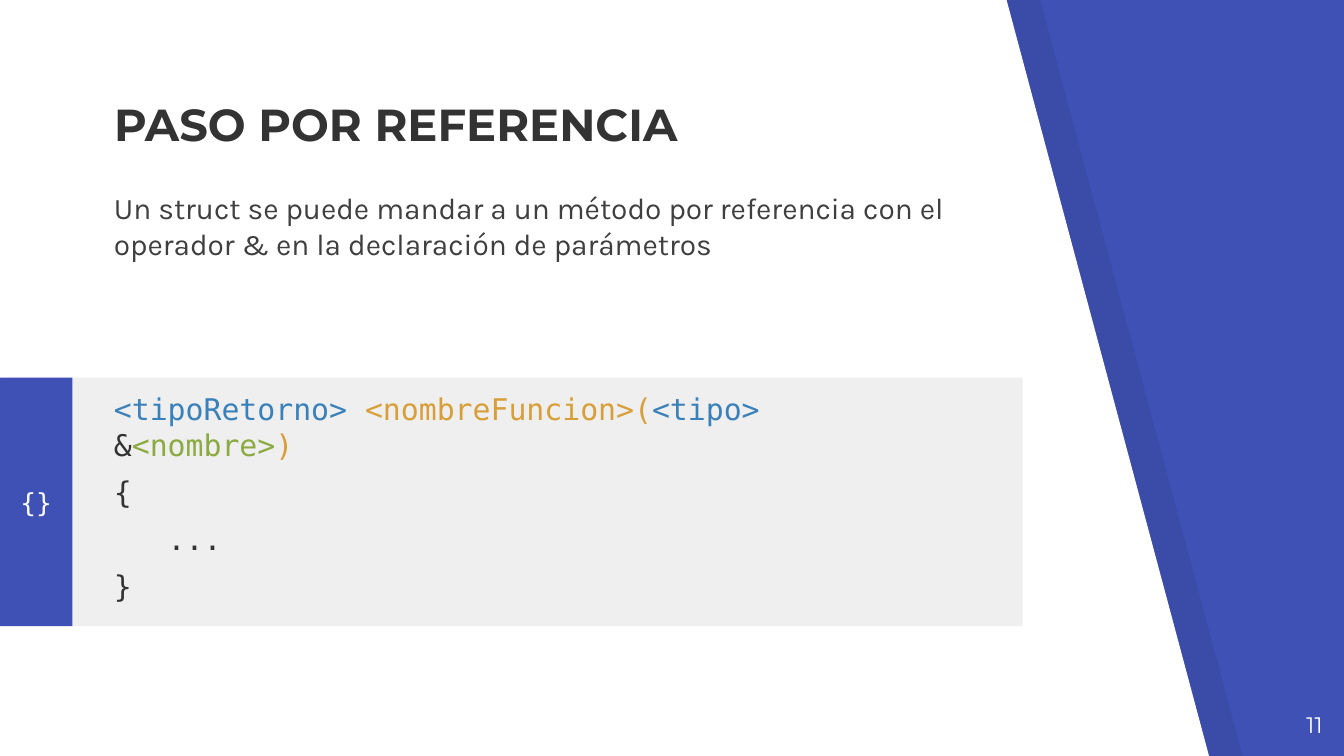
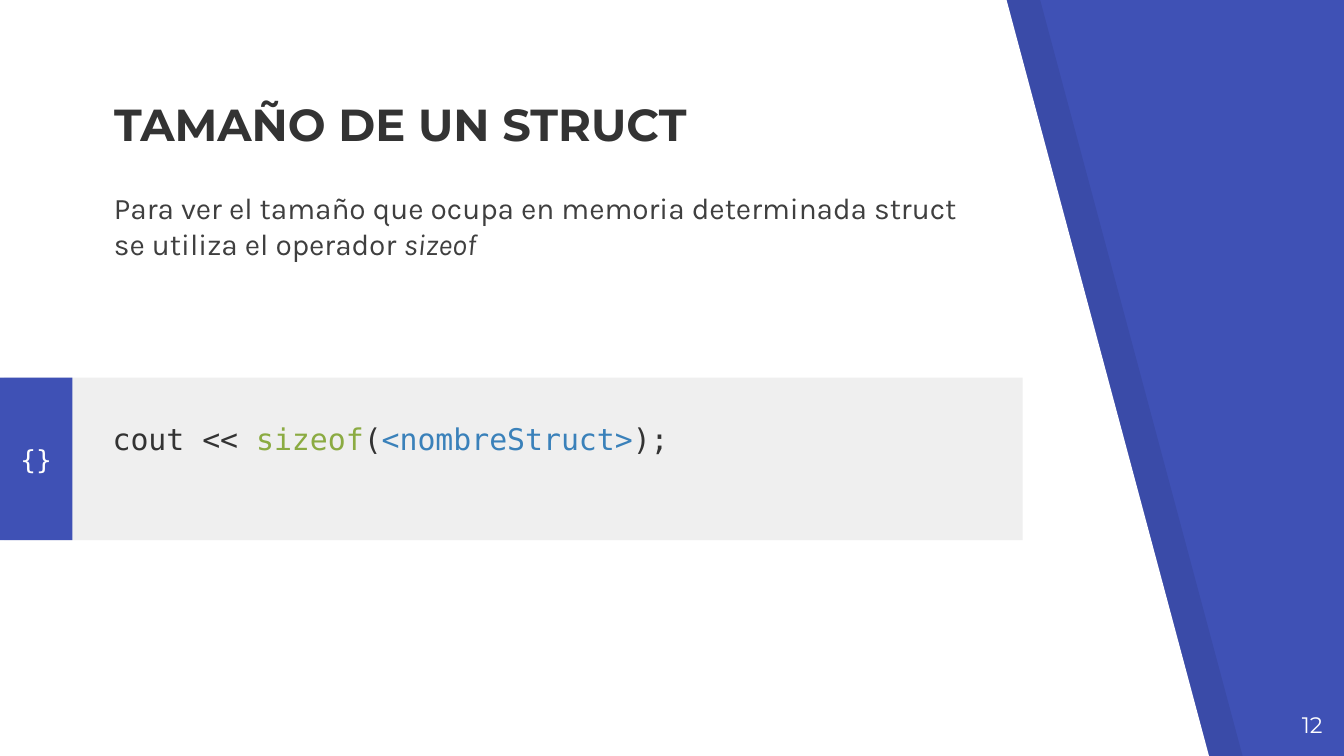
from dataclasses import dataclass
from lxml.etree import SubElement
from pptx import Presentation
from pptx.dml.color import RGBColor
from pptx.enum.shapes import MSO_SHAPE
from pptx.enum.text import MSO_ANCHOR, MSO_AUTO_SIZE, PP_ALIGN
from pptx.oxml.ns import qn
from pptx.util import Inches, Pt


@dataclass(frozen=True)
class Theme:
    blue: str = "3F51B5"
    white: str = "FFFFFF"
    black: str = "000000"
    gray: str = "EFEFEF"
    dark: str = "333333"
    body: str = "3F3F3F"
    type: str = "3A81BA"
    func: str = "D89F39"
    name: str = "8BAB42"
    head: str = "Montserrat"
    text: str = "Karla"
    mono: str = "DejaVu Sans Mono"
    title_pt: int = 24
    text_pt: int = 16
    tab_pt: int = 14
    page_pt: int = 12


T = Theme()

# Content: each line is a list of (text, colour) or (text, colour, italic)
FIRST = 11
SLIDES = [
    {
        "title": "PASO POR REFERENCIA",
        "intro": [("Un struct se puede mandar a un método por referencia con el "
                   "operador & en la declaración de parámetros", T.body)],
        "code": [
            [("<tipoRetorno> ", T.type), ("<nombreFuncion>(", T.func),
             ("<tipo> ", T.type), ("&", T.dark), ("<nombre>", T.name), (")", T.func)],
            [("{", T.dark)],
            [("...", T.dark)],
            [("}", T.dark)],
        ],
        "indent": {2: 0.4},
        "band": 1.85,
        "box": (0.75, 2.81, 6.33, 2.54),
    },
    {
        "title": "TAMAÑO DE UN STRUCT",
        "intro": [("Para ver el tamaño que ocupa en memoria determinada struct "
                   "se utiliza el operador ", T.body), ("sizeof", T.body, True)],
        "code": [
            [("cout << ", T.dark), ("sizeof", T.name), ("(", T.dark),
             ("<nombreStruct>", T.type), (");", T.dark)],
        ],
        "indent": {},
        "band": 1.21,
        "box": (0.74, 3.03, 6.33, 0.78),
    },
]

# Shared places, on a 16:9 slide
WIDE = 10
HIGH = WIDE * 9 / 16
TITLE = (0.75, 0.77, 6.73, 0.45)
INTRO = (0.75, 1.31, 6.73, 0.73)
PAGE = (9.34, 5.19, 0.6, 0.43)
BAND_TOP = 2.81
EDGE = [(0, -0.01), (0, 5.64), (9, 5.64), (7.49, 0)]
SHADE_DX = 0.25


def color(code):
    return RGBColor.from_string(code)


def place(shape, box):
    shape.left, shape.top, shape.width, shape.height = map(Inches, box)


def paint(shape, code, alpha=None):
    shape.shadow.inherit = False
    shape.fill.solid()
    shape.fill.fore_color.rgb = color(code)
    shape.line.fill.background()
    if alpha is not None:
        clr = shape._element.spPr.find(".//" + qn("a:srgbClr"))
        SubElement(clr, qn("a:alpha")).set("val", str(alpha * 1000))


def write(shape, lines, face, size, align=PP_ALIGN.LEFT, anchor=MSO_ANCHOR.TOP,
          before=0, bold=False, indent=None):
    frame = shape.text_frame
    frame.word_wrap = True
    frame.auto_size = MSO_AUTO_SIZE.NONE
    frame.vertical_anchor = anchor
    frame.margin_left = frame.margin_right = Inches(0.1)
    frame.margin_top = frame.margin_bottom = Inches(0.1)
    for i, line in enumerate(lines):
        para = frame.add_paragraph() if i else frame.paragraphs[0]
        para.alignment = align
        para.space_before = Pt(before)
        font = para.font
        font.name, font.size, font.bold = face, Pt(size), bold
        font.color.rgb = color(line[0][1])
        if indent and i in indent:
            para._p.get_or_add_pPr().set("marL", str(Inches(indent[i])))
        for text, code, *slant in line:
            run = para.add_run()
            run.text = text
            if code != line[0][1]:
                run.font.color.rgb = color(code)
            if slant:
                run.font.italic = True


def add_text(slide, box, lines, *args, **kw):
    shape = slide.shapes.add_textbox(*map(Inches, box))
    write(shape, lines, *args, **kw)


def add_panel(slide, dx, code, alpha=None):
    pts = [(Inches(x + dx), Inches(y)) for x, y in EDGE]
    path = slide.shapes.build_freeform(*pts[0])
    path.add_line_segments(pts[1:], close=True)
    paint(path.convert_to_shape(), code, alpha)


def add_band(slide, high):
    group = slide.shapes.add_group_shape()
    for left, wide, code in ((0.03, 7.58, T.gray), (0, 0.54, T.blue)):
        box = (left, BAND_TOP, wide, high)
        rect = group.shapes.add_shape(MSO_SHAPE.RECTANGLE, *map(Inches, box))
        paint(rect, code)
    write(rect, [[("{}", T.white)]], T.mono, T.tab_pt,
          PP_ALIGN.CENTER, MSO_ANCHOR.MIDDLE)


def add_slide(deck, num, data):
    slide = deck.slides.add_slide(deck.slide_layouts[5])
    slide.background.fill.solid()
    slide.background.fill.fore_color.rgb = color(T.blue)

    # Backdrop and code band
    add_panel(slide, SHADE_DX, T.black, 7)
    add_panel(slide, 0, T.white)
    add_band(slide, data["band"])

    # Text, with the title brought in front of the backdrop
    add_text(slide, INTRO, [data["intro"]], T.text, T.text_pt, before=6)
    add_text(slide, PAGE, [[(str(num), T.white)]], T.head, T.page_pt, PP_ALIGN.RIGHT)
    title = slide.shapes.title
    place(title, TITLE)
    write(title, [[(data["title"], T.dark)]], T.head, T.title_pt,
          anchor=MSO_ANCHOR.BOTTOM, bold=True)
    slide.shapes._spTree.append(title._element)
    add_text(slide, data["box"], data["code"], T.mono, T.text_pt,
             before=6, indent=data["indent"])


def main():
    deck = Presentation()
    deck.slide_width, deck.slide_height = Inches(WIDE), Inches(HIGH)
    for num, data in enumerate(SLIDES, FIRST):
        add_slide(deck, num, data)
    deck.save("out.pptx")


if __name__ == "__main__":
    main()
